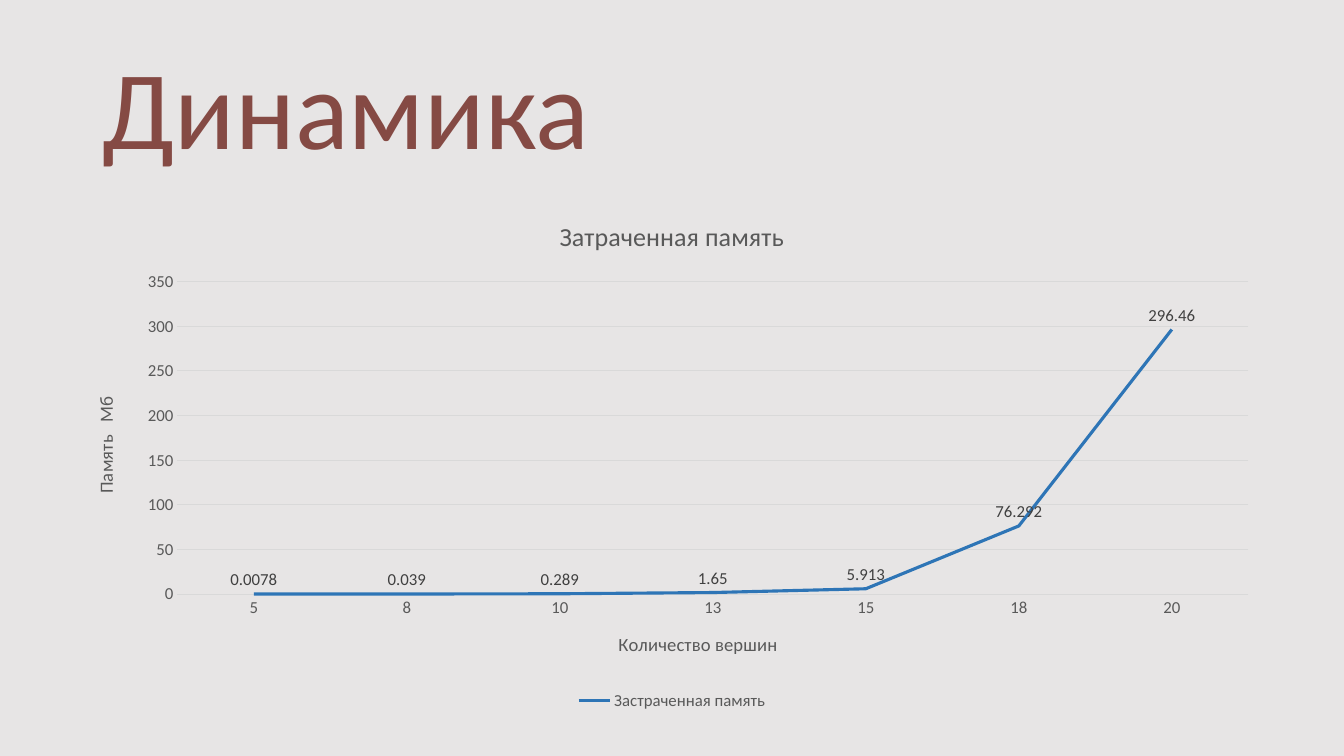
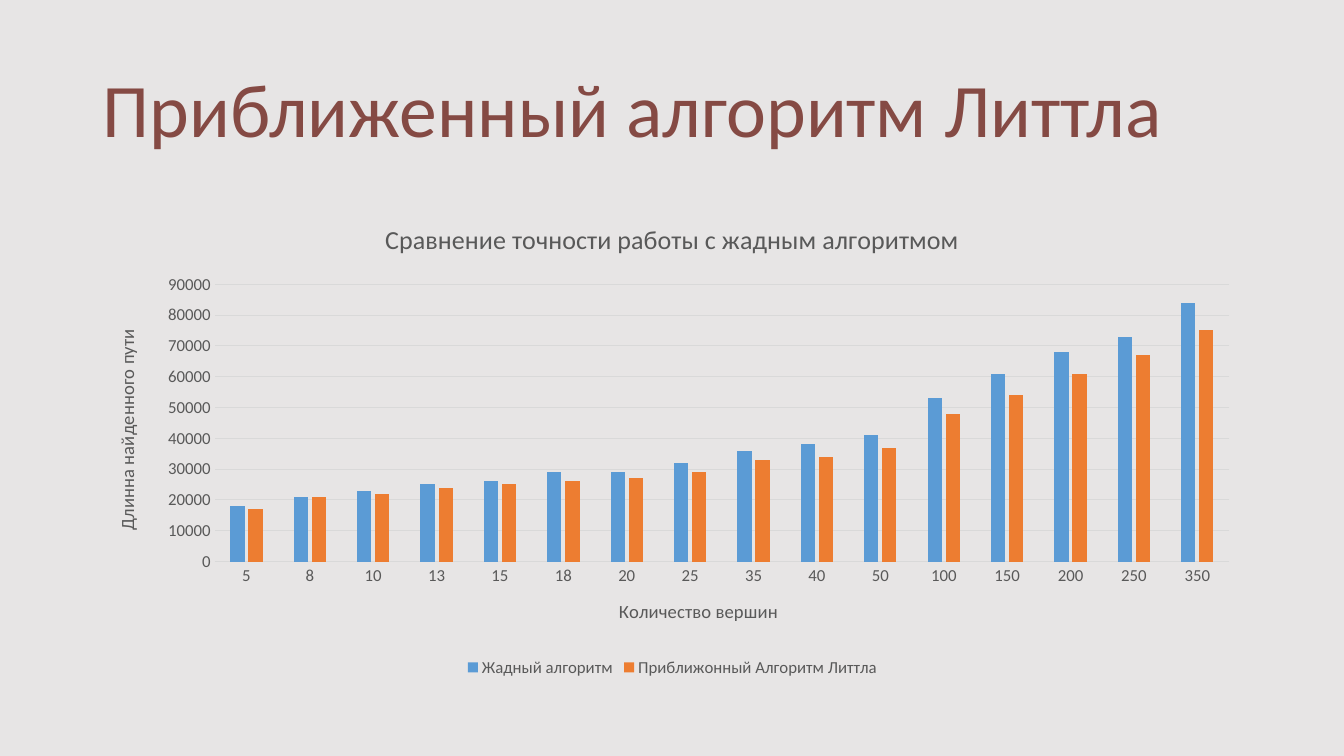
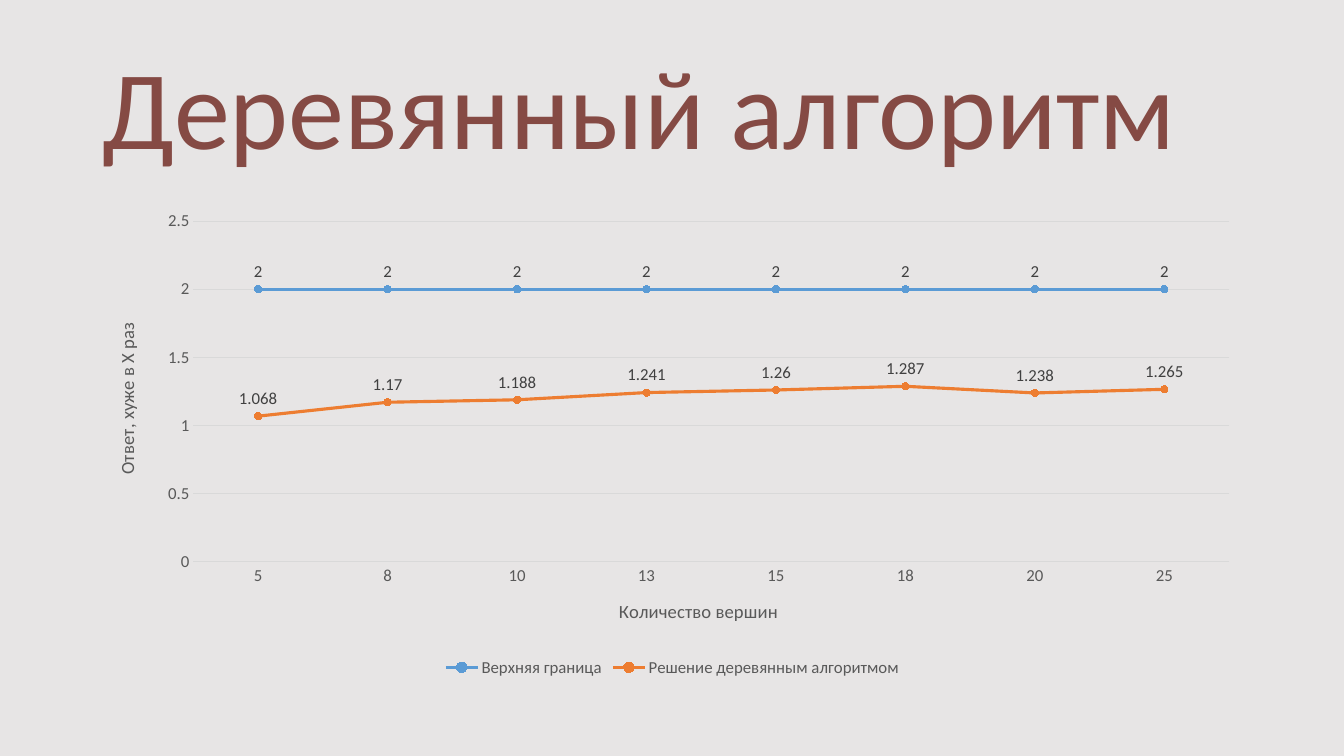
import pptx
import pptx.util
from dataclasses import dataclass
from pptx.chart.data import CategoryChartData
from pptx.dml.color import RGBColor
from pptx.enum.chart import (XL_CHART_TYPE, XL_LABEL_POSITION, XL_LEGEND_POSITION,
                             XL_MARKER_STYLE, XL_TICK_MARK)
from pptx.enum.text import MSO_ANCHOR, MSO_AUTO_SIZE, PP_ALIGN


@dataclass(frozen=True)
class Theme:
    font: str = "Calibri"
    background: str = "E7E5E5"
    title: str = "854A44"
    text: str = "595959"
    label: str = "404040"
    grid: str = "D9D9D9"
    blue: str = "5B9BD5"
    orange: str = "ED7D31"
    dark_blue: str = "2E75B6"
    title_size: float = 80
    long_title_size: float = 54
    chart_title_size: float = 18.6
    axis_title_size: float = 13.3
    small_size: float = 12
    line_width: float = 2.25
    grid_width: float = 0.75


THEME = Theme()
WIDTH, HEIGHT = pptx.util.Inches(13.33), pptx.util.Inches(7.5)
# left, top, width, height in inches
TITLE_BOX = (0.92, 0.4, 11.5, 1.45)
CHART_BOX = (0.92, 2, 11.5, 4.76)
WIDE_CHART_BOX = (0.71, 1.96, 11.91, 5.13)
VERTICES = "Количество вершин"


def inches(box):
    return [pptx.util.Inches(v) for v in box]


def set_font(font, size, color):
    values = {"name": THEME.font, "size": pptx.util.Pt(size), "bold": False}
    for name, value in values.items():
        setattr(font, name, value)
    font.color.rgb = RGBColor.from_string(color)


def set_line(line, color, width):
    line.color.rgb = RGBColor.from_string(color)
    line.width = pptx.util.Pt(width)


def set_up_layout(prs):
    """Give every slide its background and title place; return the layout."""
    prs.slide_width, prs.slide_height = WIDTH, HEIGHT
    fill = prs.slide_master.background.fill
    fill.solid()
    fill.fore_color.rgb = RGBColor.from_string(THEME.background)
    layout = prs.slide_layouts.get_by_name("Title Only")
    title = layout.placeholders[0]
    for name, value in zip(("left", "top", "width", "height"), inches(TITLE_BOX)):
        setattr(title, name, value)
    return layout


def add_slide(prs, layout, title, size):
    s = prs.slides.add_slide(layout)
    tf = s.shapes.title.text_frame
    values = {"text": title, "word_wrap": True, "auto_size": MSO_AUTO_SIZE.NONE,
              "vertical_anchor": MSO_ANCHOR.MIDDLE}
    for name, value in values.items():
        setattr(tf, name, value)
    p = tf.paragraphs[0]
    p.alignment, p.line_spacing = PP_ALIGN.LEFT, 0.9
    set_font(p.runs[0].font, size, THEME.title)
    return s


def write_title(owner, text, size):
    """Title a chart or an axis."""
    tf = getattr(owner, "chart_title", None) or owner.axis_title
    tf = tf.text_frame
    tf.text = text
    set_font(tf.paragraphs[0].runs[0].font, size, THEME.text)
    return tf


def format_axis(axis, title):
    axis.major_tick_mark = axis.minor_tick_mark = XL_TICK_MARK.NONE
    set_font(axis.tick_labels.font, THEME.small_size, THEME.text)
    return write_title(axis, title, THEME.axis_title_size)


def format_axes(chart, value_title):
    format_axis(chart.category_axis, VERTICES)
    set_line(chart.category_axis.format.line, THEME.grid, THEME.grid_width)
    axis = chart.value_axis
    body = format_axis(axis, value_title)._txBody.bodyPr
    for name, value in {"rot": "-5400000", "vert": "horz"}.items():
        body.set(name, value)
    axis.format.line.fill.background()
    axis.has_major_gridlines = True
    set_line(axis.major_gridlines.format.line, THEME.grid, THEME.grid_width)


def add_chart(s, kind, box, cats, series, value_title, title=None):
    """Add a chart; series maps each name to its values."""
    data = CategoryChartData()
    data.categories = cats.split()
    for name, values in series.items():
        data.add_series(name, values)
    chart = s.shapes.add_chart(kind, *inches(box), data).chart
    set_font(chart.font, 10, "000000")
    chart.has_title = title is not None
    if title:
        write_title(chart, title, THEME.chart_title_size)
    format_axes(chart, value_title)
    chart.has_legend = True
    chart.legend.position = XL_LEGEND_POSITION.BOTTOM
    chart.legend.include_in_layout = False
    set_font(chart.legend.font, THEME.small_size, THEME.text)
    chart.plots[0].vary_by_categories = False
    return chart


def format_lines(chart, colors, marker):
    for series, color in zip(chart.plots[0].series, colors):
        series.smooth = False
        set_line(series.format.line, color, THEME.line_width)
        series.marker.style = marker
        if marker != XL_MARKER_STYLE.NONE:
            series.marker.size = 5
            fill = series.marker.format.fill
            fill.solid()
            fill.fore_color.rgb = RGBColor.from_string(color)
            set_line(series.marker.format.line, color, THEME.grid_width)
        labels = series.data_labels
        labels.show_value = True
        labels.position = XL_LABEL_POSITION.ABOVE
        set_font(labels.font, THEME.small_size, THEME.label)


def format_columns(chart, colors):
    plot = chart.plots[0]
    plot.gap_width, plot.overlap = 219, -27
    for series, color in zip(plot.series, colors):
        series.invert_if_negative = False
        series.format.fill.solid()
        series.format.fill.fore_color.rgb = RGBColor.from_string(color)


def add_memory_slide(prs, layout):
    s = add_slide(prs, layout, "Динамика", THEME.title_size)
    memory = {"Застраченная память": (0.0078, 0.039, 0.289, 1.65, 5.913, 76.292, 296.46)}
    chart = add_chart(s, XL_CHART_TYPE.LINE, WIDE_CHART_BOX, "5 8 10 13 15 18 20",
                      memory, "Память   Мб", "Затраченная память")
    format_lines(chart, [THEME.dark_blue], XL_MARKER_STYLE.NONE)


def add_accuracy_slide(prs, layout):
    s = add_slide(prs, layout, "Приближенный алгоритм Литтла", THEME.long_title_size)
    thousands = {
        "Жадный алгоритм":
            (18, 21, 23, 25, 26, 29, 29, 32, 36, 38, 41, 53, 61, 68, 73, 84),
        "Приближонный Алгоритм Литтла":
            (17, 21, 22, 24, 25, 26, 27, 29, 33, 34, 37, 48, 54, 61, 67, 75),
    }
    lengths = {name: [v * 1000 for v in values] for name, values in thousands.items()}
    chart = add_chart(s, XL_CHART_TYPE.COLUMN_CLUSTERED, CHART_BOX,
                      "5 8 10 13 15 18 20 25 35 40 50 100 150 200 250 350",
                      lengths, "Длинна найденного пути",
                      "Сравнение точности работы с жадным алгоритмом")
    format_columns(chart, [THEME.blue, THEME.orange])


def add_tree_slide(prs, layout):
    s = add_slide(prs, layout, "Деревянный алгоритм", THEME.title_size)
    ratios = {
        "Верхняя граница": [2] * 8,
        "Решение деревянным алгоритмом":
            (1.068, 1.17, 1.188, 1.241, 1.26, 1.287, 1.238, 1.265),
    }
    chart = add_chart(s, XL_CHART_TYPE.LINE_MARKERS, CHART_BOX, "5 8 10 13 15 18 20 25",
                      ratios, "Ответ, хуже в X раз")
    format_lines(chart, [THEME.blue, THEME.orange], XL_MARKER_STYLE.CIRCLE)


def main():
    prs = pptx.Presentation()
    layout = set_up_layout(prs)
    add_memory_slide(prs, layout)
    add_accuracy_slide(prs, layout)
    add_tree_slide(prs, layout)
    prs.save("out.pptx")


if __name__ == "__main__":
    main()
